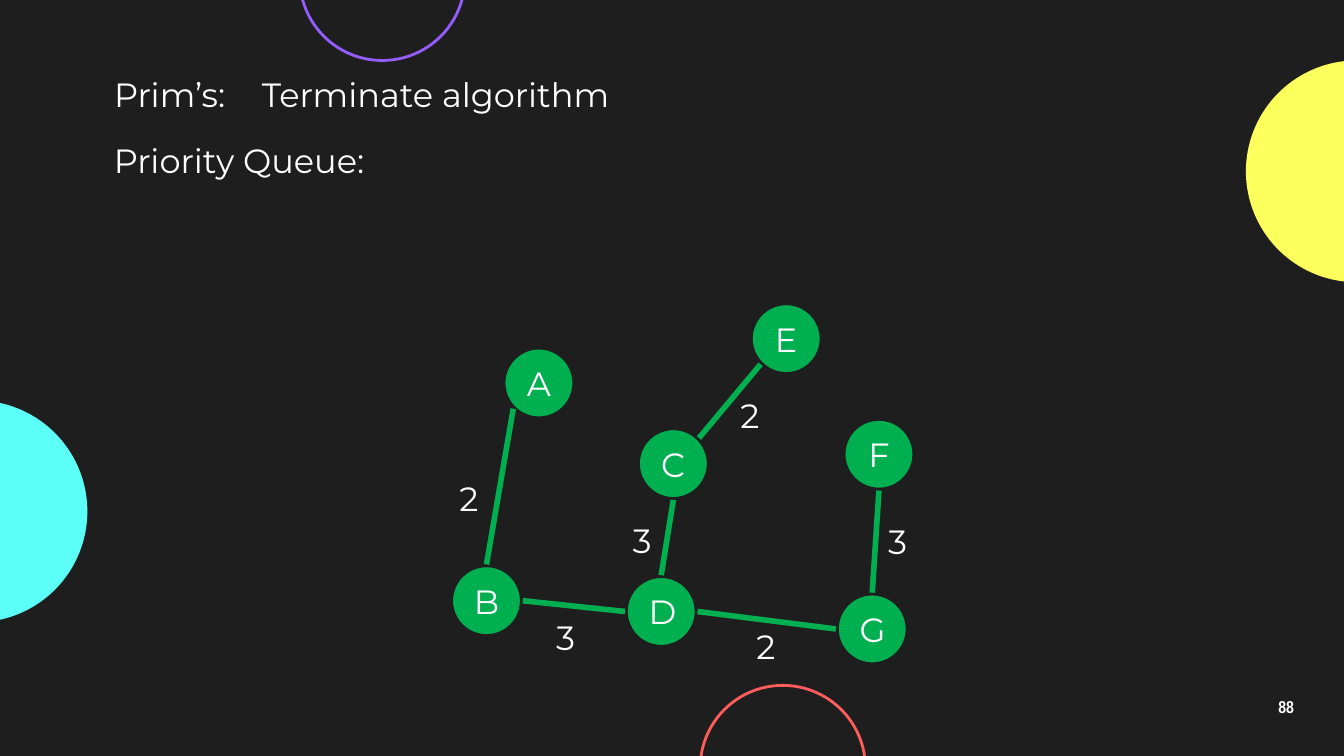
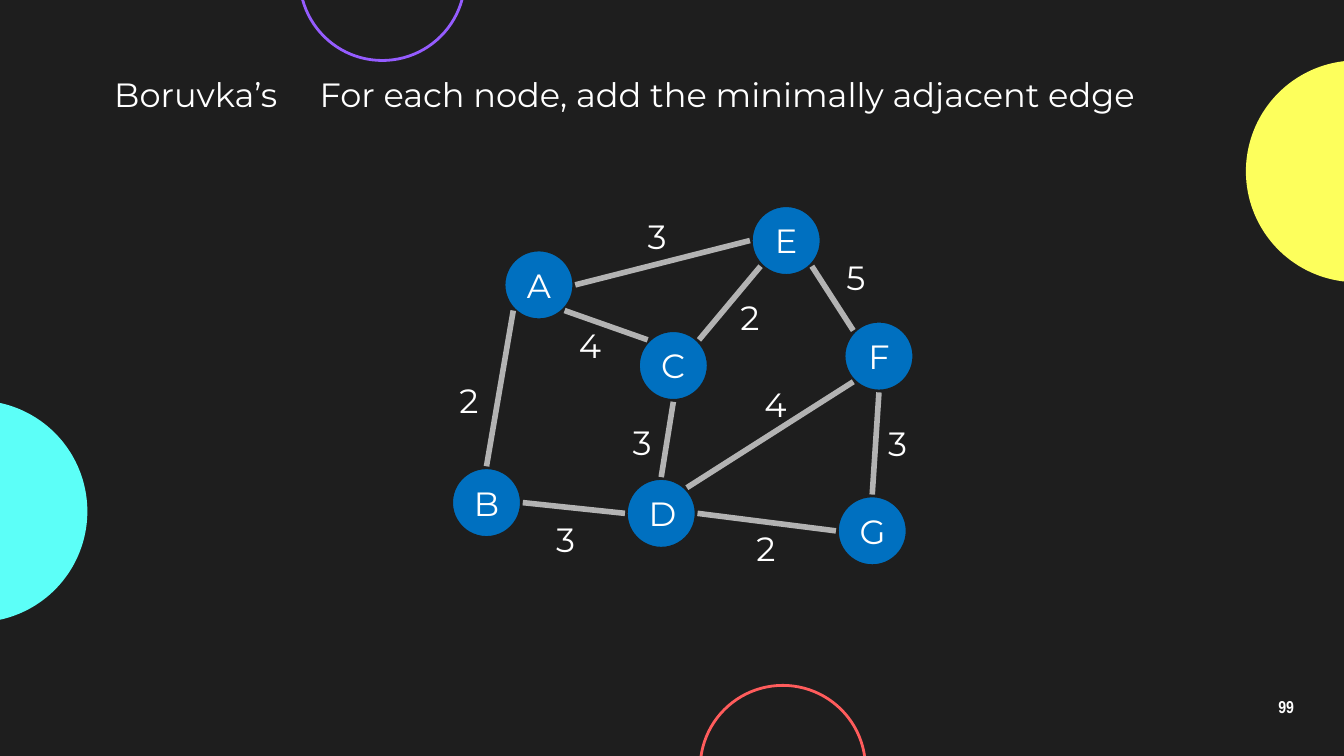
"""Build two slides that show spanning-tree algorithms on one weighted graph."""
import math

import pptx
import pptx.dml.color
import pptx.enum.shapes
import pptx.enum.text
import pptx.util
from lxml import etree

COLORS = {
    "ground": "1E1E1E", "text": "FFFFFF", "cyan": "5CFFF8", "yellow": "FDFF5C",
    "purple": "955CFF", "red": "FF5C5C", "green": "00B050", "blue": "0070C0",
    "gray": "B3B3B3",
}
FONT = "Montserrat"
WIDTH, HEIGHT = 10, 5.625
NODE_SIZE = 0.54
LINE_HEIGHT = 0.4
MARGIN = 0.75

# left, top, diameter, colour, filled
CIRCLES = [
    (-1, 2.98, 1.65, "cyan", True),
    (9.27, 0.45, 1.65, "yellow", True),
    (2.23, -0.78, 1.23, "purple", False),
    (5.21, 5.1, 1.23, "red", False),
]

# node centres
NODES = {
    "A": (4.01, 2.12), "E": (5.85, 1.79), "C": (5.01, 2.72), "F": (6.54, 2.65),
    "D": (4.92, 3.82), "G": (6.49, 3.95), "B": (3.62, 3.74),
}

# compass points on a node's rim, in degrees
RIM = {"E": 0, "SE": 45, "S": 90, "SW": 135, "W": 180, "NW": 225, "N": 270, "NE": 315}

# edge: (start side, end side, weight, label left, label top)
EDGES = {
    "AE": ("E", "W", 3, 4.72, 1.56),
    "AC": ("SE", "NW", 4, 4.21, 2.37),
    "CE": ("NE", "SW", 2, 5.41, 2.16),
    "AB": ("SW", "N", 2, 3.32, 2.78),
    "BD": ("E", "W", 3, 4.04, 3.81),
    "CD": ("S", "N", 3, 4.61, 3.09),
    "DF": ("NE", "SW", 4, 5.59, 2.81),
    "DG": ("E", "W", 2, 5.53, 3.88),
    "FG": ("S", "N", 3, 6.51, 3.1),
    "EF": ("SE", "NW", 5, 6.2, 1.86),
}

SLIDES = [
    {
        "number": 88, "title": ("Prim’s:", 1.08),
        "notes": [("Terminate algorithm", 1.85, 0.5, 2.91),
                  ("Priority Queue:", MARGIN, 0.99, 2.16)],
        "edges": ["CE", "AB", "BD", "CD", "DG", "FG"],
        "drop": 0.73, "node": "green", "edge": "green",
    },
    {
        "number": 99, "title": ("Boruvka’s", 1.49),
        "notes": [("For each node, add the minimally adjacent edge", 2.28, 0.5, 6.52)],
        "edges": list(EDGES),
        "drop": 0, "node": "blue", "edge": "gray",
    },
]


def inches(*values):
    return [pptx.util.Inches(v) for v in values]


def rgb(name):
    return pptx.dml.color.RGBColor.from_string(COLORS[name])


def write(sp, text, size=18, font=FONT, bold=False, align="LEFT", anchor="TOP"):
    tf = sp.text_frame
    tf.text = str(text)
    tf.vertical_anchor = pptx.enum.text.MSO_ANCHOR[anchor]
    p = tf.paragraphs[0]
    p.alignment = pptx.enum.text.PP_ALIGN[align]
    f = p.runs[0].font
    f.name, f.size, f.bold = font, pptx.util.Pt(size), bold
    f.color.rgb = rgb("text")
    return tf


def add_label(slide, text, left, top, width, wrap=False):
    sp = slide.shapes.add_textbox(*inches(left, top, width, LINE_HEIGHT))
    tf = write(sp, text)
    tf.word_wrap = wrap
    tf.auto_size = pptx.enum.text.MSO_AUTO_SIZE.SHAPE_TO_FIT_TEXT


def add_circle(slide, left, top, size, fill, line, weight):
    sp = slide.shapes.add_shape(pptx.enum.shapes.MSO_SHAPE.OVAL,
                                *inches(left, top, size, size))
    sp.shadow.inherit = False
    if fill:
        sp.fill.solid()
        sp.fill.fore_color.rgb = rgb(fill)
    else:
        sp.fill.background()
    if line:
        sp.line.color.rgb = rgb(line)
        sp.line.width = pptx.util.Pt(weight)
    else:
        sp.line.fill.background()
    return sp


def decorate_layout(layout, slide):
    for i, (left, top, size, color, filled) in enumerate(CIRCLES):
        fill, line = (color, None) if filled else (None, color)
        sp = add_circle(slide, left, top, size, fill, line, 1.5)
        sp.element.nvSpPr.cNvPr.set("id", str(20 + i))
        layout.shapes.element.append(sp.element)


def add_title(slide, text, width):
    sp = slide.shapes.title
    sp.left, sp.top, sp.width, sp.height = inches(MARGIN, 0.5, width, LINE_HEIGHT)
    tf = write(sp, text)
    tf.word_wrap = False
    tf.auto_size = pptx.enum.text.MSO_AUTO_SIZE.NONE


def add_number(slide, number):
    sp = slide.shapes.add_textbox(*inches(9.27, 5.1, 0.6, 0.34))
    tf = write(sp, number, 9.2, "Arial Narrow", True, "CENTER", "MIDDLE")
    tf.word_wrap = True
    tf.margin_top = tf.margin_bottom = pptx.util.Inches(0.1)
    tf.paragraphs[0].line_spacing = 0.9


def rim_point(name, side, drop):
    x, y = NODES[name]
    angle = math.radians(RIM[side])
    radius = NODE_SIZE / 2
    return x + radius * math.cos(angle), y + drop + radius * math.sin(angle)


def add_graph(slide, edges, drop, node_color, edge_color):
    for name, (x, y) in NODES.items():
        sp = add_circle(slide, x - NODE_SIZE / 2, y + drop - NODE_SIZE / 2,
                        NODE_SIZE, node_color, "ground", 3)
        write(sp, name, align="CENTER", anchor="MIDDLE")
    for edge in edges:
        start, end = edge
        start_side, end_side, weight, left, top = EDGES[edge]
        line = slide.shapes.add_connector(
            pptx.enum.shapes.MSO_CONNECTOR.STRAIGHT,
            *inches(*rim_point(start, start_side, drop), *rim_point(end, end_side, drop)))
        line.line.color.rgb = rgb(edge_color)
        line.line.width = pptx.util.Pt(3)
        etree.SubElement(line.element.spPr, pptx.oxml.ns.qn("a:effectLst"))
        add_label(slide, weight, left, top + drop, 0.37, True)


def main():
    prs = pptx.Presentation()
    prs.slide_width, prs.slide_height = inches(WIDTH, HEIGHT)
    fill = prs.slide_master.background.fill
    fill.solid()
    fill.fore_color.rgb = rgb("ground")
    layout = prs.slide_layouts.get_by_name("Title Only")
    for i, content in enumerate(SLIDES):
        slide = prs.slides.add_slide(layout)
        if i == 0:
            decorate_layout(layout, slide)
        add_title(slide, *content["title"])
        add_number(slide, content["number"])
        add_graph(slide, content["edges"], content["drop"], content["node"], content["edge"])
        for note in content["notes"]:
            add_label(slide, *note)
    prs.save("out.pptx")


if __name__ == "__main__":
    main()
